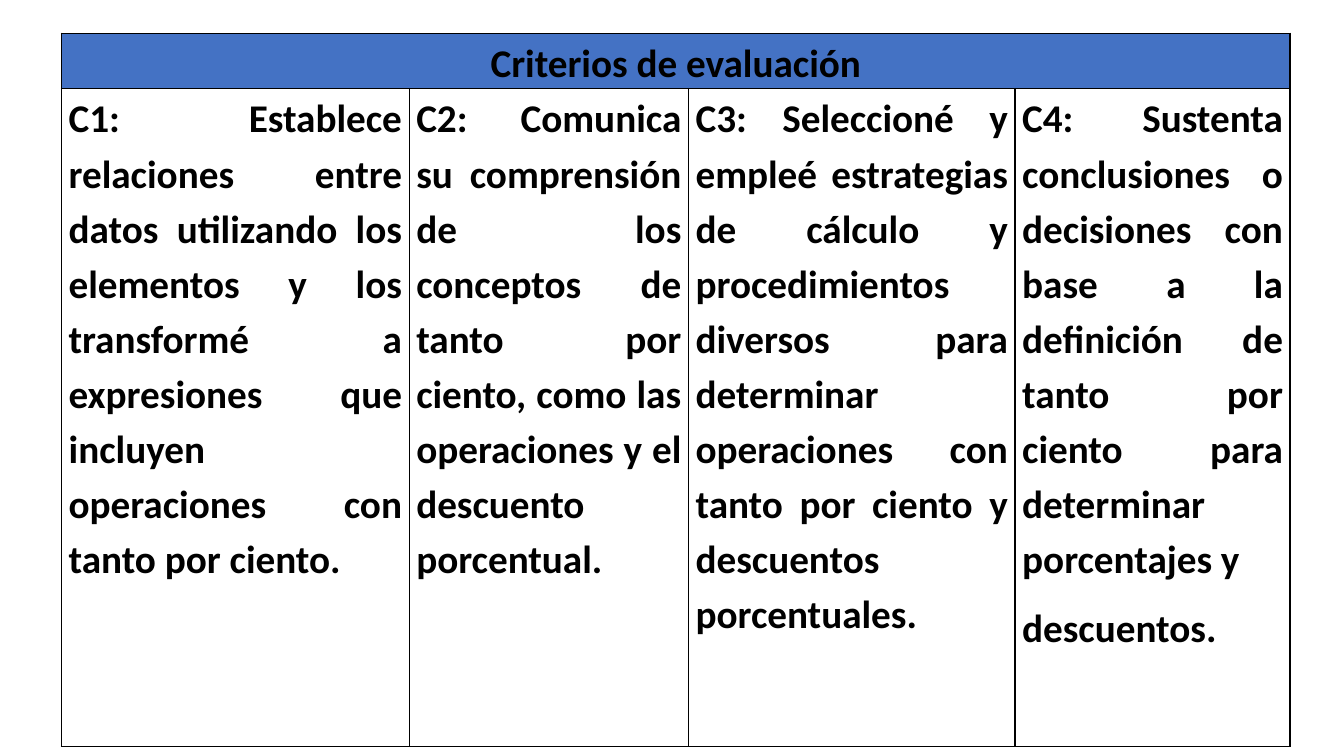
from pptx import Presentation
from pptx import util as u
from pptx.dml.color import RGBColor
from pptx.enum import text
from pptx.oxml import parse_xml
from pptx.oxml.ns import nsdecls

# Content
HEADING = "Criterios de evaluación"
CRITERIA = [
    ["C1: Establece relaciones entre datos utilizando los elementos y los "
     "transformé a expresiones que incluyen operaciones con tanto por ciento."],
    ["C2: Comunica su comprensión de los conceptos de tanto por ciento, "
     "como las operaciones y el descuento porcentual."],
    ["C3: Seleccioné y empleé estrategias de cálculo y procedimientos diversos "
     "para determinar operaciones con tanto por ciento y descuentos porcentuales."],
    ["C4: Sustenta conclusiones o decisiones con base a la definición de "
     "tanto por ciento para determinar porcentajes y",
     "descuentos."],
]

# Measures in centimetres
LEFT, TOP = 1.55, 0.84
COLUMN_WIDTHS = [8.76, 7.04, 8.23, 6.93]
ROW_HEIGHTS = [1.35, 16.59]
SIDE_MARGIN = 0.18
BLACK, BLUE, WHITE = "000000", "4472C4", "FFFFFF"


def color(hex_string):
    return RGBColor.from_string(hex_string)


def add_borders(cell):
    properties = cell._tc.get_or_add_tcPr()
    for position, side in enumerate(("lnL", "lnR", "lnT", "lnB")):
        properties.insert(position, parse_xml(
            f'<a:{side} {nsdecls("a")} w="12700"><a:solidFill>'
            f'<a:srgbClr val="{BLACK}"/></a:solidFill></a:{side}>'))


def fill_cell(cell, paragraphs, alignment, anchor, background):
    cell.fill.solid()
    cell.fill.fore_color.rgb = color(background)
    cell.margin_left = cell.margin_right = u.Cm(SIDE_MARGIN)
    cell.margin_top = cell.margin_bottom = 0
    cell.vertical_anchor = anchor
    frame = cell.text_frame
    for index, words in enumerate(paragraphs):
        paragraph = frame.add_paragraph() if index else frame.paragraphs[0]
        paragraph.alignment = alignment
        paragraph.line_spacing = 1.15
        paragraph.space_after = u.Pt(10)
        run = paragraph.add_run()
        run.text = words
        run.font.name = "Calibri"
        run.font.size = u.Pt(28)
        run.font.bold = True
        run.font.color.rgb = color(BLACK)


# Slide
presentation = Presentation()
presentation.slide_width = u.Cm(33.87)
presentation.slide_height = u.Cm(19.05)
slide = presentation.slides.add_slide(presentation.slide_layouts[6])

# Table grid
table = slide.shapes.add_table(
    len(ROW_HEIGHTS), len(COLUMN_WIDTHS), u.Cm(LEFT), u.Cm(TOP),
    u.Cm(sum(COLUMN_WIDTHS)), u.Cm(sum(ROW_HEIGHTS))).table
for column, width in zip(table.columns, COLUMN_WIDTHS):
    column.width = u.Cm(width)
for row, height in zip(table.rows, ROW_HEIGHTS):
    row.height = u.Cm(height)

# Heading across all columns
table.cell(0, 0).merge(table.cell(0, len(COLUMN_WIDTHS) - 1))
fill_cell(table.cell(0, 0), [HEADING], text.PP_ALIGN.CENTER,
          text.MSO_ANCHOR.MIDDLE, BLUE)

# One criterion per column
for index, criterion in enumerate(CRITERIA):
    fill_cell(table.cell(1, index), criterion, text.PP_ALIGN.JUSTIFY,
              text.MSO_ANCHOR.TOP, WHITE)

for cell in table.iter_cells():
    add_borders(cell)

presentation.save("out.pptx")
